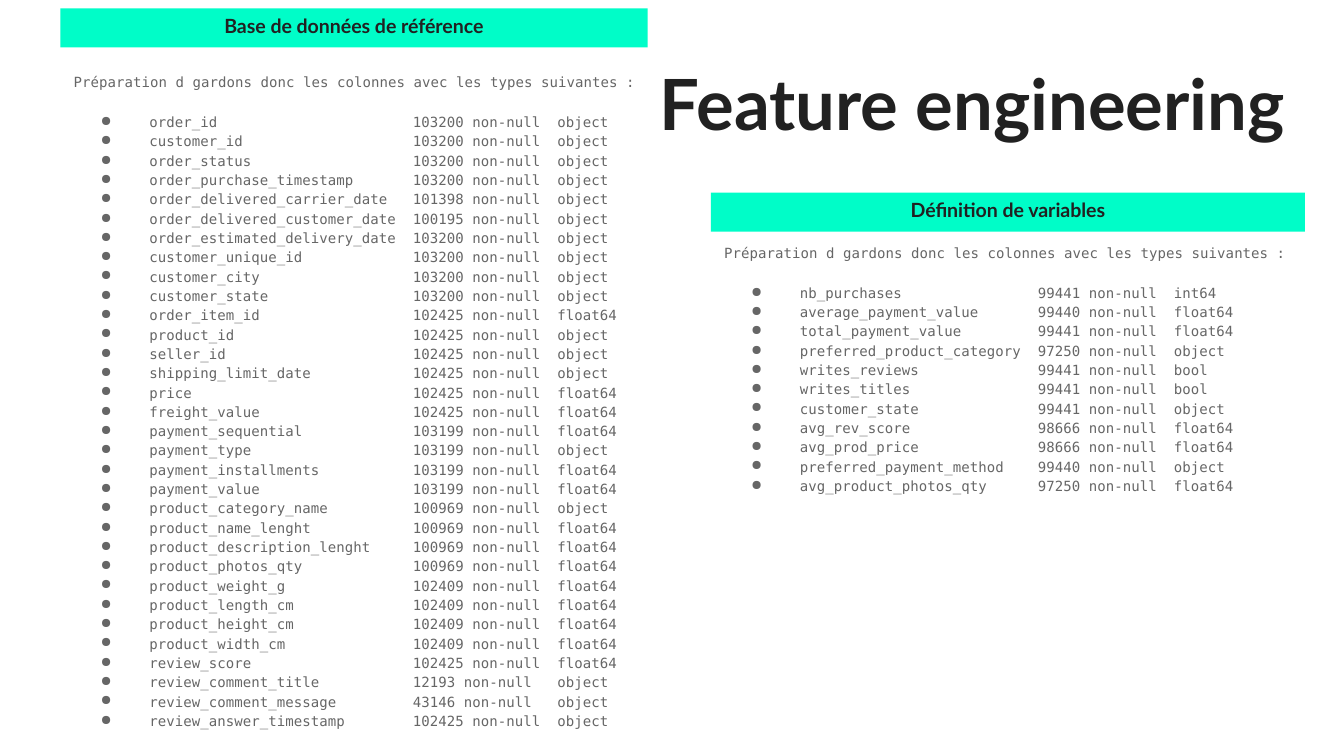
from pptx import Presentation
from pptx.dml.color import RGBColor
from pptx.enum.shapes import MSO_SHAPE
from pptx.enum.text import MSO_ANCHOR, MSO_AUTO_SIZE, PP_ALIGN
from pptx.oxml.ns import qn
from pptx.util import Pt
from lxml import etree

RECTANGLE = MSO_SHAPE.RECTANGLE
TOP, MIDDLE = MSO_ANCHOR.TOP, MSO_ANCHOR.MIDDLE
NO_FIT, FIT_SHAPE = MSO_AUTO_SIZE.NONE, MSO_AUTO_SIZE.SHAPE_TO_FIT_TEXT
LEFT, CENTER, RIGHT = PP_ALIGN.LEFT, PP_ALIGN.CENTER, PP_ALIGN.RIGHT

INK, GREY, MINT = "212121", "666666", "00FDC8"
TITLE_FONT = {"name": "Lato", "size": Pt(37.8), "bold": True}
HEADING_FONT = {"name": "Lato", "size": Pt(10.5), "bold": True}
LISTING_FONT = {"name": "DejaVu Sans Mono", "size": Pt(7.5), "bold": False}
INTRO = "Préparation d gardons donc les colonnes avec les types suivantes :"

REFERENCE_COLUMNS = [
    ("order_id", 103200, "object"),
    ("customer_id", 103200, "object"),
    ("order_status", 103200, "object"),
    ("order_purchase_timestamp", 103200, "object"),
    ("order_delivered_carrier_date", 101398, "object"),
    ("order_delivered_customer_date", 100195, "object"),
    ("order_estimated_delivery_date", 103200, "object"),
    ("customer_unique_id", 103200, "object"),
    ("customer_city", 103200, "object"),
    ("customer_state", 103200, "object"),
    ("order_item_id", 102425, "float64"),
    ("product_id", 102425, "object"),
    ("seller_id", 102425, "object"),
    ("shipping_limit_date", 102425, "object"),
    ("price", 102425, "float64"),
    ("freight_value", 102425, "float64"),
    ("payment_sequential", 103199, "float64"),
    ("payment_type", 103199, "object"),
    ("payment_installments", 103199, "float64"),
    ("payment_value", 103199, "float64"),
    ("product_category_name", 100969, "object"),
    ("product_name_lenght", 100969, "float64"),
    ("product_description_lenght", 100969, "float64"),
    ("product_photos_qty", 100969, "float64"),
    ("product_weight_g", 102409, "float64"),
    ("product_length_cm", 102409, "float64"),
    ("product_height_cm", 102409, "float64"),
    ("product_width_cm", 102409, "float64"),
    ("review_score", 102425, "float64"),
    ("review_comment_title", 12193, "object"),
    ("review_comment_message", 43146, "object"),
    ("review_answer_timestamp", 102425, "object"),
]
VARIABLES = [
    ("nb_purchases", 99441, "int64"),
    ("average_payment_value", 99440, "float64"),
    ("total_payment_value", 99441, "float64"),
    ("preferred_product_category", 97250, "object"),
    ("writes_reviews", 99441, "bool"),
    ("writes_titles", 99441, "bool"),
    ("customer_state", 99441, "object"),
    ("avg_rev_score", 98666, "float64"),
    ("avg_prod_price", 98666, "float64"),
    ("preferred_payment_method", 99440, "object"),
    ("avg_product_photos_qty", 97250, "float64"),
]


def rgb(code):
    """Turn a hex string into a colour."""
    return RGBColor.from_string(code)


def apply_format(target, values):
    """Set each attribute named in values on target."""
    for name, value in values.items():
        setattr(target, name, value)


def set_frame(frame, anchor, fit):
    """Give a text frame its margins, wrapping, anchor and fit."""
    margins = {f"margin_{side}": Pt(7.2) for side in ("left", "top", "right", "bottom")}
    apply_format(frame, {**margins, "word_wrap": True,
                         "vertical_anchor": anchor, "auto_size": fit})


def write_line(paragraph, text, font, color, layout):
    """Write one formatted run into a paragraph."""
    run = paragraph.add_run()
    run.text = text
    apply_format(run.font, font)
    run.font.color.rgb = rgb(color)
    apply_format(paragraph, layout)


def add_bullet(paragraph):
    """Give a paragraph a hanging round bullet."""
    properties = paragraph._p.get_or_add_pPr()
    properties.set("marL", str(Pt(36)))
    properties.set("indent", str(Pt(-21.6)))
    bullet_color = etree.SubElement(properties, qn("a:buClr"))
    etree.SubElement(bullet_color, qn("a:srgbClr"), val=GREY)
    etree.SubElement(properties, qn("a:buChar"), char="●")


def set_title(slide, text):
    """Place and write the slide title."""
    title = slide.shapes.title
    apply_format(title, {"left": Pt(24.5), "top": Pt(23), "width": Pt(671), "height": Pt(63.4)})
    set_frame(title.text_frame, MIDDLE, NO_FIT)
    write_line(title.text_frame.paragraphs[0], text, TITLE_FONT, INK, {"alignment": RIGHT})


def add_heading(slide, text, left, top, width):
    """Add a coloured heading bar."""
    bar = slide.shapes.add_shape(RECTANGLE, Pt(left), Pt(top), Pt(width), Pt(20.9))
    bar.shadow.inherit = False
    bar.fill.solid()
    bar.fill.fore_color.rgb = rgb(MINT)
    bar.line.fill.background()
    set_frame(bar.text_frame, MIDDLE, NO_FIT)
    write_line(bar.text_frame.paragraphs[0], text, HEADING_FONT, INK,
               {"alignment": CENTER, "line_spacing": 0.8})


def add_listing(slide, columns, left, top, width, height):
    """Add the intro line and a fixed-width listing of columns."""
    frame = slide.shapes.add_textbox(Pt(left), Pt(top), Pt(width), Pt(height)).text_frame
    set_frame(frame, TOP, FIT_SHAPE)
    layout = {"alignment": LEFT, "line_spacing": 1.15}
    write_line(frame.paragraphs[0], INTRO, LISTING_FONT, GREY, layout)
    name_width = max(len(name) for name, _, _ in columns) + 2
    count_width = max(len(f"{count} non-null") for _, count, _ in columns) + 2
    for index, (name, count, dtype) in enumerate(columns):
        filled = f"{count} non-null"
        line = f" {name:<{name_width}}{filled:<{count_width}}{dtype}"
        paragraph = frame.add_paragraph()
        write_line(paragraph, line, LISTING_FONT, GREY,
                   {**layout, "space_before": Pt(0 if index else 11)})
        add_bullet(paragraph)


def main():
    """Build the slide and save it."""
    deck = Presentation()
    apply_format(deck, {"slide_width": Pt(720), "slide_height": Pt(405)})
    slide = deck.slides.add_slide(deck.slide_layouts[5])
    set_title(slide, "Feature engineering")
    add_listing(slide, VARIABLES, 380.9, 122.4, 340.6, 149.8)
    add_heading(slide, "Base de données de référence", 32.4, 4.5, 314.6)
    add_heading(slide, "Définition de variables", 380.9, 103.2, 318.2)
    add_listing(slide, REFERENCE_COLUMNS, 32.4, 31, 324, 391)
    deck.save("out.pptx")


if __name__ == "__main__":
    main()
